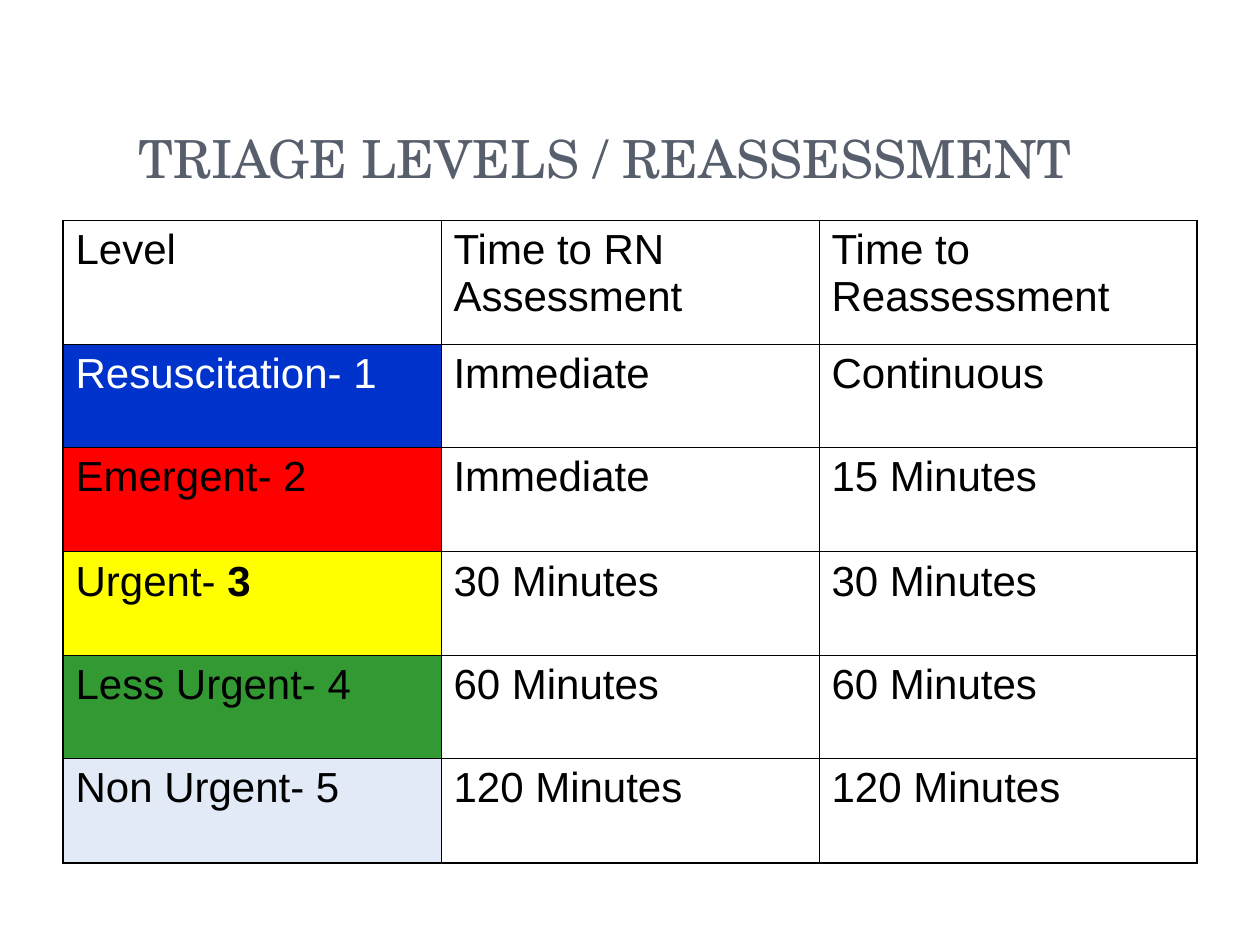
from dataclasses import dataclass

from lxml.etree import SubElement
from pptx import Presentation
from pptx.dml.color import RGBColor
from pptx.enum.text import MSO_ANCHOR, PP_ALIGN
from pptx.oxml.ns import qn
from pptx.util import Pt

PX = 9144
COLORS = {
    "title": "575F6D", "text": "000000", "light": "FFFFFF", "plain": "FFFFFF",
    "blue": "0033CC", "red": "FF0000", "yellow": "FFFF00", "green": "339933",
    "pale": "E3EAF7", "border": "000000",
}
FORMATS = {
    "title": {"name": "TeX Gyre Schola", "size": Pt(30), "bold": False},
    "cell": {"name": "Arial", "size": Pt(24), "bold": False},
    "strong": {"name": "Arial", "size": Pt(24), "bold": True},
}
MARGINS = {"margin_left": 10 * PX, "margin_right": 10 * PX,
           "margin_top": 5 * PX, "margin_bottom": 5 * PX}
OUTER_LINE, INNER_LINE = Pt(1.08), Pt(0.45)
COLUMN_WIDTH = 300


@dataclass
class TriageRow:
    """One table row: its texts, height in px and first-cell look."""
    level: str
    assessment: str
    reassessment: str
    height: int
    fill: str = "plain"
    ink: str = "text"
    strong_end: str = ""


ROWS = [
    TriageRow("Level", "Time to RN Assessment", "Time to Reassessment", 98),
    TriageRow("Resuscitation- 1", "Immediate", "Continuous", 82, "blue", "light"),
    TriageRow("Emergent- 2", "Immediate", "15 Minutes", 83, "red"),
    TriageRow("Urgent- ", "30 Minutes", "30 Minutes", 82, "yellow", strong_end="3"),
    TriageRow("Less Urgent- 4", "60 Minutes", "60 Minutes", 82, "green"),
    TriageRow("Non Urgent- 5", "120 Minutes", "120 Minutes", 83, "pale"),
]


def set_all(target, values: dict) -> None:
    """Set each named attribute on the target."""
    for name, value in values.items():
        setattr(target, name, value)


def add_span(para, text: str, style: str, ink: str) -> None:
    """Add a formatted run to a paragraph."""
    span = para.add_run()
    span.text = text
    set_all(span.font, FORMATS[style])
    span.font.color.rgb = RGBColor.from_string(COLORS[ink])


def add_title(page, text: str) -> None:
    """Add the bottom-anchored slide title."""
    box = page.shapes.add_textbox(100 * PX, 30 * PX, 850 * PX, 125 * PX)
    set_all(box.text_frame, {**MARGINS, "word_wrap": True,
                             "vertical_anchor": MSO_ANCHOR.BOTTOM})
    para = box.text_frame.paragraphs[0]
    para.alignment = PP_ALIGN.LEFT
    add_span(para, text, "title", "title")


def add_borders(cell, outer: dict[str, bool]) -> None:
    """Draw four cell borders, heavier on the table's outer edge."""
    properties = cell._tc.get_or_add_tcPr()
    for index, (side, is_outer) in enumerate(outer.items()):
        width = OUTER_LINE if is_outer else INNER_LINE
        line = SubElement(properties, qn(f"a:{side}"), w=str(int(width)))
        fill = SubElement(line, qn("a:solidFill"))
        SubElement(fill, qn("a:srgbClr"), val=COLORS["border"])
        properties.insert(index, line)


def add_triage_table(page, rows: list[TriageRow]) -> None:
    """Add the table of triage levels and their times."""
    height = sum(row.height for row in rows)
    frame = page.shapes.add_table(len(rows), 3, 50 * PX, 175 * PX,
                                  3 * COLUMN_WIDTH * PX, height * PX)
    table = frame.table
    set_all(table, {"first_row": False, "horz_banding": False})
    for column in table.columns:
        column.width = COLUMN_WIDTH * PX
    for row_index, row in enumerate(rows):
        table.rows[row_index].height = row.height * PX
        texts = (row.level, row.assessment, row.reassessment)
        for column_index, text in enumerate(texts):
            is_level = column_index == 0
            cell = table.cell(row_index, column_index)
            set_all(cell, {**MARGINS, "vertical_anchor": MSO_ANCHOR.TOP})
            cell.fill.solid()
            fill = row.fill if is_level else "plain"
            cell.fill.fore_color.rgb = RGBColor.from_string(COLORS[fill])
            para = cell.text_frame.paragraphs[0]
            set_all(para, {"space_before": Pt(6), "alignment": PP_ALIGN.LEFT})
            add_span(para, text, "cell", row.ink if is_level else "text")
            if is_level and row.strong_end:
                add_span(para, row.strong_end, "strong", row.ink)
            add_borders(cell, {"lnL": is_level, "lnR": column_index == 2,
                               "lnT": row_index == 0,
                               "lnB": row_index == len(rows) - 1})


def main() -> None:
    """Build and save the deck."""
    deck = Presentation()
    set_all(deck, {"slide_width": 1000 * PX, "slide_height": 750 * PX})
    page = deck.slides.add_slide(deck.slide_layouts[6])
    add_title(page, "TRIAGE LEVELS / REASSESSMENT")
    add_triage_table(page, ROWS)
    deck.save("out.pptx")


if __name__ == "__main__":
    main()
